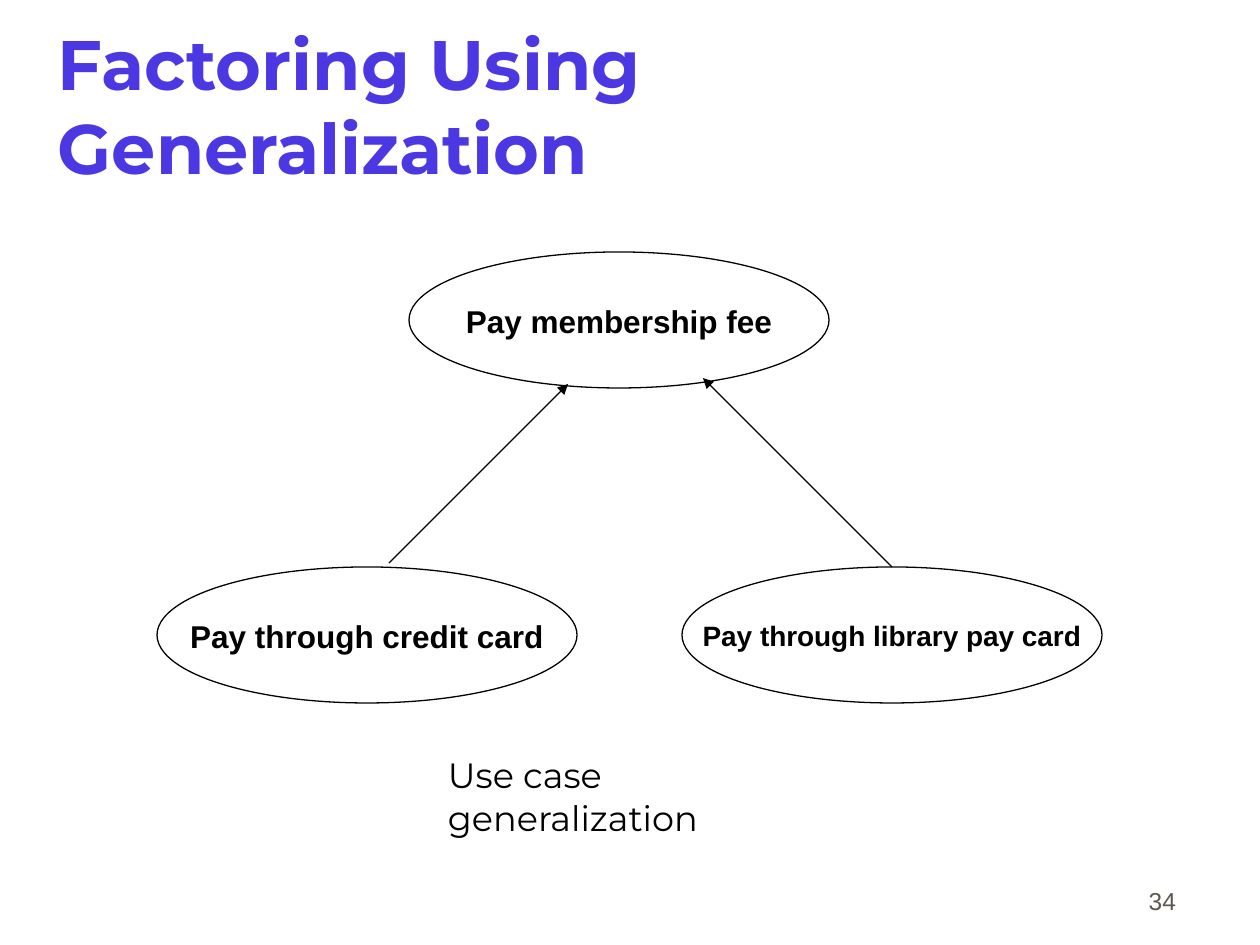
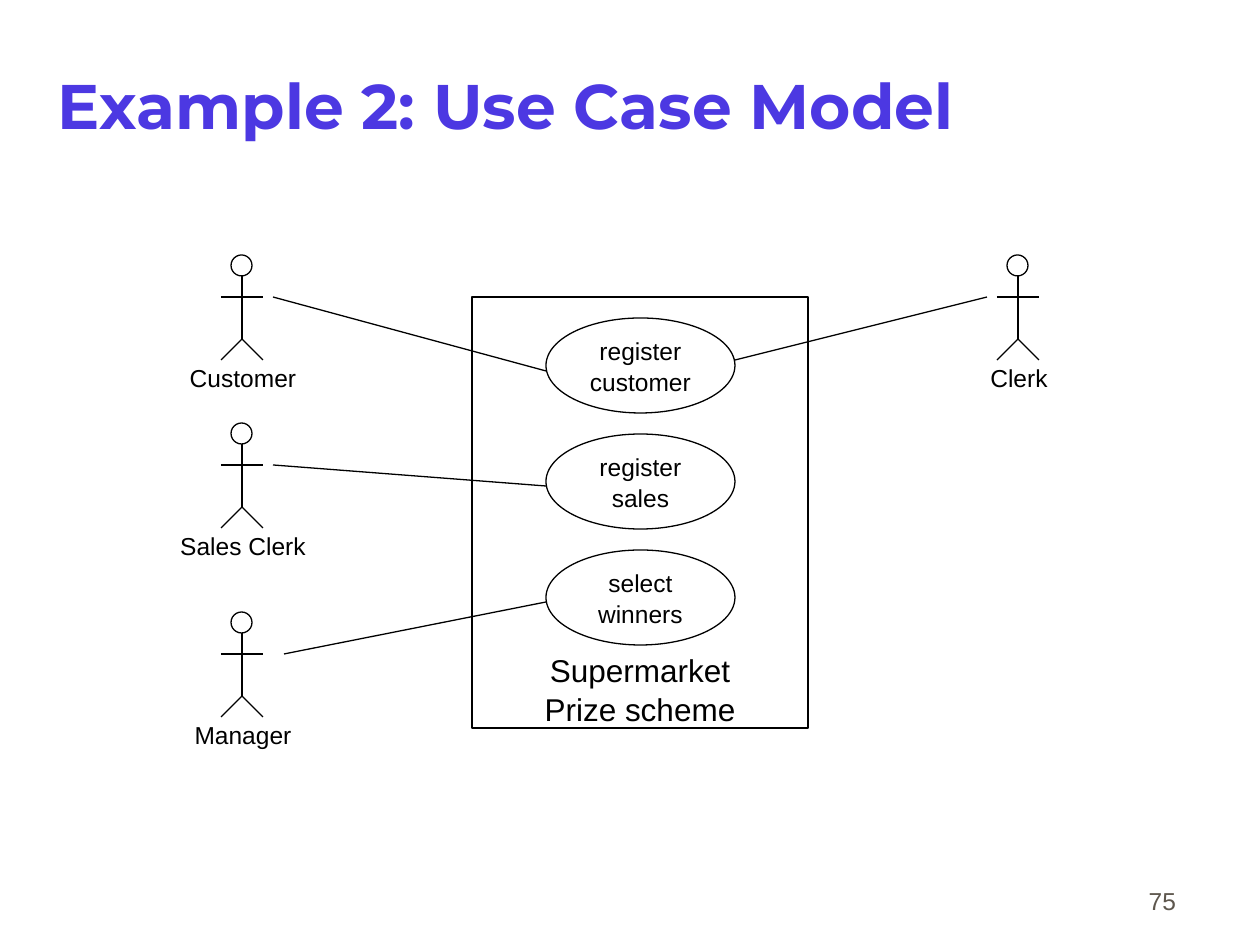
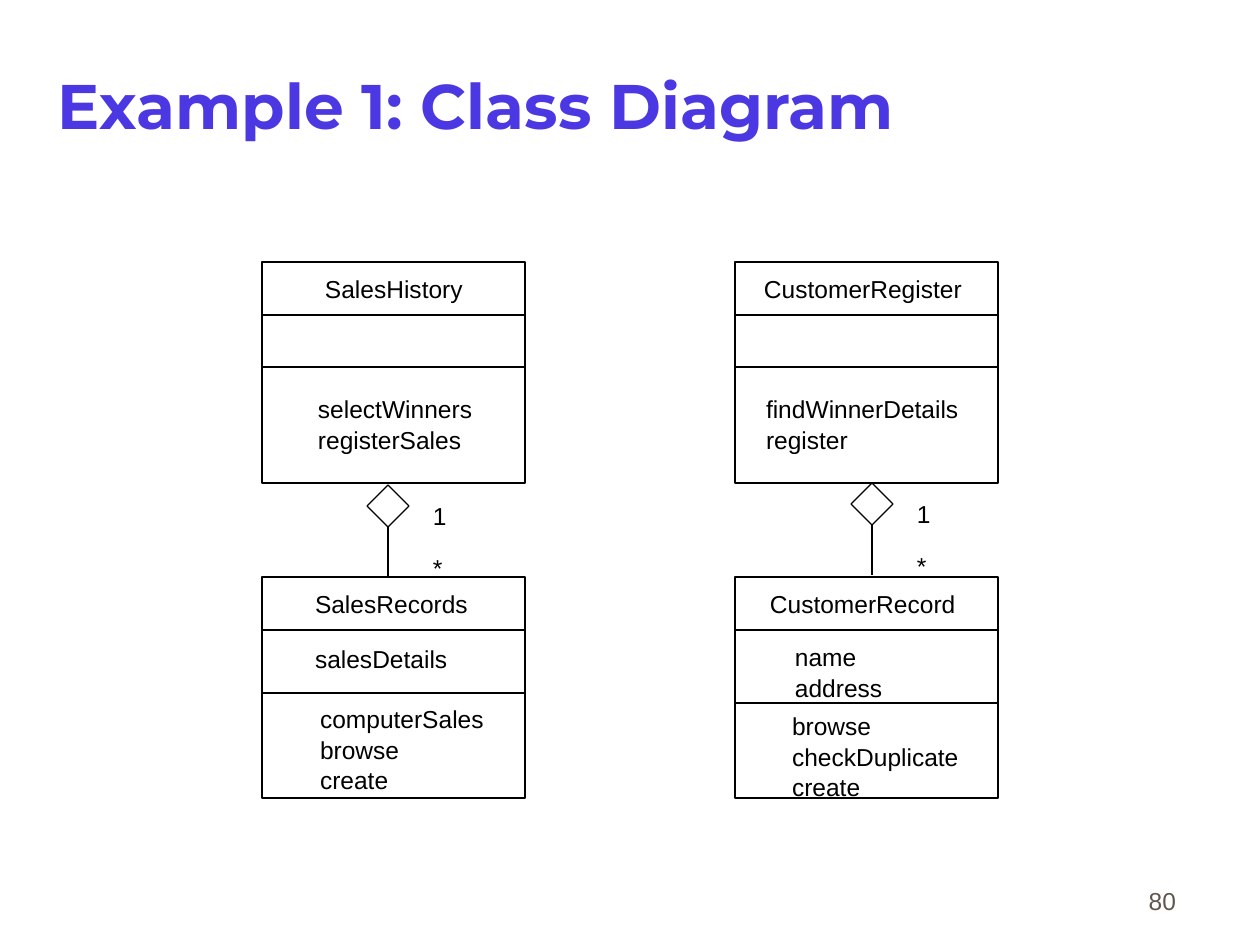
from dataclasses import dataclass

from lxml import etree
from pptx import Presentation
from pptx import util as u
from pptx.dml.color import RGBColor
from pptx.enum import shapes, text
from pptx.oxml.ns import qn

PX_PER_INCH = 126
LEFT, CENTER, RIGHT = text.PP_ALIGN.LEFT, text.PP_ALIGN.CENTER, text.PP_ALIGN.RIGHT
TOP, MIDDLE, BOTTOM = text.MSO_ANCHOR.TOP, text.MSO_ANCHOR.MIDDLE, text.MSO_ANCHOR.BOTTOM


@dataclass(frozen=True)
class Theme:
    ink: str = "000000"
    title: str = "4C38E2"
    number: str = "5E574E"
    head_font: str = "Montserrat"
    body_font: str = "Arial"
    title_size: int = 36
    large_title_size: int = 40
    caption_size: int = 20
    heading_size: int = 18
    compact_size: int = 16
    body_size: int = 14
    line_width: float = 0.75
    body_spacing: float = 1.04


def px(n):
    return u.Emu(round(n * u.Inches(1) / PX_PER_INCH))


def set_all(obj, values):
    for name, value in values.items():
        setattr(obj, name, value)


class Deck:
    def __init__(self, theme):
        self.t = theme
        self.prs = Presentation()
        self.prs.slide_width, self.prs.slide_height = u.Inches(10), u.Inches(7.5)

    def new_slide(self, title, number, size=None):
        self.slide = self.prs.slides.add_slide(self.prs.slide_layouts[6])
        self.label(927, 858, 262, 63, [str(number)], align=RIGHT, anchor=BOTTOM,
                   color=self.t.number)
        self.label(55, 24, 1071, 160, [title], size=size or self.t.title_size,
                   font=self.t.head_font, color=self.t.title, bold=True,
                   anchor=MIDDLE, insets=(3, 6))

    def put_text(self, sp, lines, size=None, font=None, color=None, bold=False,
                 align=LEFT, anchor=TOP, insets=(13, 6), wrap=True):
        tf = sp.text_frame
        side, edge = map(px, insets)
        set_all(tf, dict(word_wrap=wrap, vertical_anchor=anchor,
                         margin_left=side, margin_right=side,
                         margin_top=edge, margin_bottom=edge))
        font = font or self.t.body_font
        for i, line in enumerate(lines):
            p = tf.paragraphs[0] if i == 0 else tf.add_paragraph()
            p.alignment = align
            if font == self.t.body_font:
                p.line_spacing = self.t.body_spacing
            r = p.add_run()
            r.text = line
            set_all(r.font, dict(name=font, size=u.Pt(size or self.t.body_size), bold=bold))
            r.font.color.rgb = RGBColor.from_string(color or self.t.ink)

    def label(self, x, y, w, h, lines, **style):
        sp = self.slide.shapes.add_textbox(*map(px, (x, y, w, h)))
        self.put_text(sp, lines, **style)

    def outline(self, kind, x, y, w, h, lines=(), **style):
        """Unfilled preset shape with centred text."""
        sp = self.slide.shapes.add_shape(kind, *map(px, (x, y, w, h)))
        sp.shadow.inherit = False
        sp.fill.background()
        self.stroke(sp)
        if lines:
            self.put_text(sp, lines, **{"align": CENTER, "anchor": MIDDLE, "wrap": False, **style})

    def stroke(self, sp):
        sp.line.color.rgb = RGBColor.from_string(self.t.ink)
        sp.line.width = u.Pt(self.t.line_width)

    def line(self, x1, y1, x2, y2, arrow=False):
        c = self.slide.shapes.add_connector(shapes.MSO_CONNECTOR.STRAIGHT,
                                            *map(px, (x1, y1, x2, y2)))
        self.stroke(c)
        props = c.element.spPr
        if arrow:
            etree.SubElement(props.find(qn("a:ln")), qn("a:tailEnd"), type="triangle")
        etree.SubElement(props, qn("a:effectLst"))

    def use_case(self, x, y, w, h, lines, **style):
        self.outline(shapes.MSO_SHAPE.OVAL, x, y, w, h, lines, **style)

    def box(self, x, y, w, h, lines=(), **style):
        self.outline(shapes.MSO_SHAPE.RECTANGLE, x, y, w, h, lines, **style)

    def actor(self, x, y, name):
        """Stick figure centred on x with the top of its head at y."""
        self.outline(shapes.MSO_SHAPE.OVAL, x - 11, y, 21, 21)
        hip = y + 84
        self.line(x, y + 21, x, hip)
        self.line(x - 21, y + 42, x + 21, y + 42)
        for foot in (x - 21, x + 21):
            self.line(x, hip, foot, hip + 21)
        self.label(x - 79, y + 101, 160, 43, [name], align=CENTER)

    def class_box(self, x, y, second_divider, parts):
        """Class with two dividers; parts are (x, y, lines) measured from its corner."""
        w, h = 263, 221
        self.box(x, y, w, h)
        for dy in (53, second_divider):
            self.line(x, y + dy, x + w, y + dy)
        for dx, dy, lines in parts:
            self.label(x + dx, y + dy, w - dx, 30 * len(lines), lines, insets=(0, 0))

    def aggregation(self, x, y):
        self.outline(shapes.MSO_SHAPE.DIAMOND, x - 21, y, 42, 42)
        for dy, count in ((9, "1"), (61, "*")):
            self.label(x + 32, y + dy, 40, 43, [count])
        self.line(x, y + 41, x, y + 92)


def generalization_slide(d):
    t = d.t
    d.new_slide("Factoring Using Generalization", 34, t.large_title_size)
    for x, y, name, size in (
        (409, 252, "Pay membership fee", t.heading_size),
        (682, 567, "Pay through library pay card", t.compact_size),
        (157, 567, "Pay through credit card", t.heading_size),
    ):
        d.use_case(x, y, 420, 136, [name], size=size, bold=True)
    d.line(389, 563, 568, 384, arrow=True)
    d.line(892, 567, 703, 378, arrow=True)
    d.label(435, 748, 415, 96, ["Use case generalization"], size=t.caption_size,
            font=t.head_font)


def use_case_slide(d):
    d.new_slide("Example 2: Use Case Model", 75)
    d.box(472, 297, 336, 431, ["Supermarket", "Prize scheme"],
          size=d.t.heading_size, anchor=BOTTOM, insets=(13, 0))
    cases = (("register", "customer"), ("register", "sales"), ("select", "winners"))
    for i, lines in enumerate(cases):
        d.use_case(546, 318 + 116 * i, 189, 95, lines)
    for x, y, name in ((242, 255, "Customer"), (242, 423, "Sales Clerk"),
                       (242, 612, "Manager"), (1018, 255, "Clerk")):
        d.actor(x, y, name)
    for ends in ((546, 371, 273, 297), (546, 486, 273, 465),
                 (546, 602, 284, 654), (735, 360, 987, 297)):
        d.line(*ends)


def class_slide(d):
    d.new_slide("Example 1: Class Diagram", 80)
    left, right, upper, lower = 262, 735, 262, 577
    d.class_box(left, upper, 105, [
        (63, 11, ["SalesHistory"]),
        (56, 131, ["selectWinners", "registerSales"])])
    d.class_box(left, lower, 116, [
        (53, 11, ["SalesRecords"]),
        (53, 66, ["salesDetails"]),
        (58, 126, ["computerSales", "browse", "create"])])
    d.class_box(right, upper, 105, [
        (29, 11, ["CustomerRegister"]),
        (31, 131, ["findWinnerDetails", "register"])])
    d.class_box(right, lower, 126, [
        (35, 11, ["CustomerRecord"]),
        (60, 64, ["name", "address"]),
        (57, 133, ["browse", "checkDuplicate", "create"])])
    d.aggregation(388, 485)
    d.aggregation(872, 483)


def main():
    d = Deck(Theme())
    for build in (generalization_slide, use_case_slide, class_slide):
        build(d)
    d.prs.save("out.pptx")


if __name__ == "__main__":
    main()
